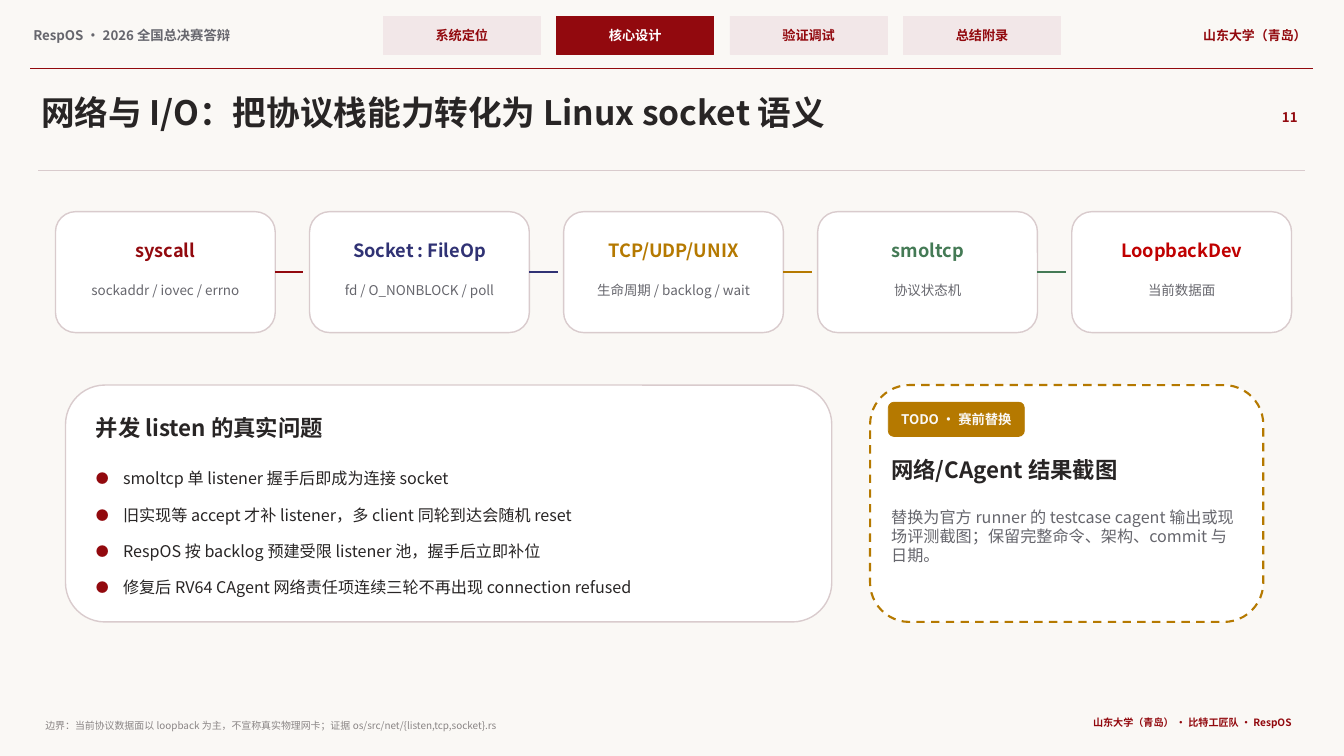
from lxml import etree
from pptx import Presentation
from pptx import util as u
from pptx.dml.color import RGBColor
from pptx.enum import dml, shapes, text
from pptx.oxml import ns

FONT = "Noto Sans CJK SC"
RED = RGBColor(0x92, 0x09, 0x0E)
ROSE = RGBColor(0xF2, 0xE7, 0xE8)
EDGE = RGBColor(0xD9, 0xCB, 0xCD)
INK = RGBColor(0x28, 0x25, 0x25)
GRAY = RGBColor(0x66, 0x66, 0x6D)
PALE = RGBColor(0x8A, 0x85, 0x85)
PAPER = RGBColor(0xFA, 0xF8, 0xF5)
WHITE = RGBColor(0xFF, 0xFF, 0xFF)
NAVY = RGBColor(0x30, 0x32, 0x74)
GOLD = RGBColor(0xB5, 0x79, 0x00)
GREEN = RGBColor(0x44, 0x7A, 0x55)
SCARLET = RGBColor(0xC0, 0x00, 0x00)
LEFT, MID, RIGHT = text.PP_ALIGN.LEFT, text.PP_ALIGN.CENTER, text.PP_ALIGN.RIGHT
TOP, CENTRE = text.MSO_ANCHOR.TOP, text.MSO_ANCHOR.MIDDLE
RECT, ROUND = shapes.MSO_SHAPE.RECTANGLE, shapes.MSO_SHAPE.ROUNDED_RECTANGLE

deck = Presentation()
deck.slide_width, deck.slide_height = u.Inches(13.33), u.Inches(7.5)
slide = deck.slides.add_slide(deck.slide_layouts[1])
slide.background.fill.solid()
slide.background.fill.fore_color.rgb = PAPER
items = slide.shapes


def write(shape, lines, size, color, bold=False, align=LEFT, anchor=TOP):
    frame = shape.text_frame
    frame.word_wrap = True
    frame.auto_size = text.MSO_AUTO_SIZE.NONE
    frame.vertical_anchor = anchor
    frame.margin_left = frame.margin_right = u.Inches(0.03)
    frame.margin_top = frame.margin_bottom = u.Inches(0.03)
    for i, line in enumerate(lines):
        para = frame.add_paragraph() if i else frame.paragraphs[0]
        para.alignment = align
        para.space_before = u.Pt(0)
        run = para.add_run()
        run.text = line
        font = run.font
        font.name, font.size, font.bold = FONT, u.Pt(size), bold
        font.color.rgb = color
        east = etree.SubElement(run._r.get_or_add_rPr(), ns.qn("a:ea"))
        east.set("typeface", FONT)


def block(kind, x, y, w, h, fill, edge, width):
    shape = items.add_shape(kind, u.Inches(x), u.Inches(y), u.Inches(w), u.Inches(h))
    shape.shadow.inherit = False
    shape.fill.solid()
    shape.fill.fore_color.rgb = fill
    shape.line.color.rgb = edge
    shape.line.width = u.Pt(width)
    return shape


title = items.title
title.left, title.top = u.Inches(0.38), u.Inches(0.88)
title.width, title.height = u.Inches(11.85), u.Inches(0.48)
write(title, ["网络与 I/O：把协议栈能力转化为 Linux socket 语义"], 24, INK, True)

for i, name in enumerate(["系统定位", "核心设计", "验证调试", "总结附录"]):
    fill, ink = (RED, WHITE) if i == 1 else (ROSE, RED)
    tab = block(RECT, 3.8 + 1.72 * i, 0.16, 1.56, 0.38, fill, fill, 0.5)
    write(tab, [name], 9.4, ink, True, MID, CENTRE)

labels = [
    (0.3, 0.24, 3.35, 0.24, "RespOS · 2026 全国总决赛答辩", 9.5, GRAY, True, LEFT),
    (11.35, 0.24, 1.64, 0.24, "山东大学（青岛）", 9.2, RED, True, RIGHT),
    (12.48, 1.05, 0.42, 0.24, "11", 9.5, RED, True, RIGHT),
    (0.92, 4.08, 3.2, 0.34, "并发 listen 的真实问题", 16, INK, True, LEFT),
    (8.81, 4.5, 3.54, 0.4, "网络/CAgent 结果截图", 16, INK, True, LEFT),
    (8.81, 5, 3.54, 1, "替换为官方 runner 的 testcase cagent 输出或现场评测截图；"
     "保留完整命令、架构、commit 与日期。", 11.5, GRAY, False, LEFT),
    (0.42, 7.11, 9.7, 0.17, "边界：当前协议数据面以 loopback 为主，不宣称真实物理网卡；"
     "证据 os/src/net/{listen,tcp,socket}.rs", 7.1, PALE, False, LEFT),
    (9.72, 7.08, 3.12, 0.2, "山东大学（青岛） · 比特工匠队 · RespOS", 7.2, RED, True, RIGHT),
]
rules = [(0.3, 0.68, 13.02, RED, 1.1, None), (0.38, 1.69, 12.94, EDGE, 0.9, None)]

stages = [
    ("syscall", "sockaddr / iovec / errno", RED),
    ("Socket : FileOp", "fd / O_NONBLOCK / poll", NAVY),
    ("TCP/UDP/UNIX", "生命周期 / backlog / wait", GOLD),
    ("smoltcp", "协议状态机", GREEN),
    ("LoopbackDev", "当前数据面", SCARLET),
]
for i, (name, note, color) in enumerate(stages):
    x = 0.55 + 2.52 * i
    card = block(ROUND, x, 2.1, 2.18, 1.2, WHITE, EDGE, 1)
    labels.append((x + 0.15, 2.34, 1.88, 0.28, name, 13, color, True, MID))
    labels.append((x + 0.13, 2.77, 1.92, 0.3, note, 9.6, GRAY, False, MID))
    if i < len(stages) - 1:
        rules.append((x + 2.18, 2.7, x + 2.46, color, 1.8, card))

for x, y, end, color, width, card in rules:
    rule = items.add_connector(shapes.MSO_CONNECTOR.STRAIGHT, u.Inches(x),
                               u.Inches(y), u.Inches(end), u.Inches(y))
    if card:
        rule.begin_connect(card, 3)
    rule.line.color.rgb = color
    rule.line.width = u.Pt(width)
    etree.SubElement(rule._element.spPr, ns.qn("a:effectLst"))

block(ROUND, 0.65, 3.82, 7.6, 2.35, WHITE, EDGE, 1)
todo = block(ROUND, 8.63, 3.82, 3.9, 2.35, WHITE, GOLD, 1.5)
todo.line.dash_style = dml.MSO_LINE.DASH
tag = block(ROUND, 8.81, 3.99, 1.35, 0.34, GOLD, GOLD, 0.5)
write(tag, ["TODO · 赛前替换"], 9.5, PAPER, True, MID, CENTRE)

for x, y, w, h, words, size, color, bold, align in labels:
    box = items.add_textbox(u.Inches(x), u.Inches(y), u.Inches(w), u.Inches(h))
    write(box, [words], size, color, bold, align)

body = slide.placeholders[1]
items.element.append(body.element)
body.left, body.top = u.Inches(0.92), u.Inches(4.62)
body.width, body.height = u.Inches(6.93), u.Inches(1.46)
write(body, [
    "smoltcp 单 listener 握手后即成为连接 socket",
    "旧实现等 accept 才补 listener，多 client 同轮到达会随机 reset",
    "RespOS 按 backlog 预建受限 listener 池，握手后立即补位",
    "修复后 RV64 CAgent 网络责任项连续三轮不再出现 connection refused",
], 11.5, INK)
for i, para in enumerate(body.text_frame.paragraphs):
    props = para._p.get_or_add_pPr()
    props.set("marL", str(u.Inches(0.27)))
    props.set("indent", str(-u.Inches(0.27)))
    tint = etree.SubElement(props, ns.qn("a:buClr"))
    etree.SubElement(tint, ns.qn("a:srgbClr")).set("val", str(RED))
    etree.SubElement(props, ns.qn("a:buSzPct")).set("val", "80000")
    etree.SubElement(props, ns.qn("a:buFont")).set("typeface", FONT)
    etree.SubElement(props, ns.qn("a:buChar")).set("char", "●")
    para.line_spacing = u.Pt(13.8)
    para.space_before = u.Pt(12.12 if i else 0)

deck.save("out.pptx")
